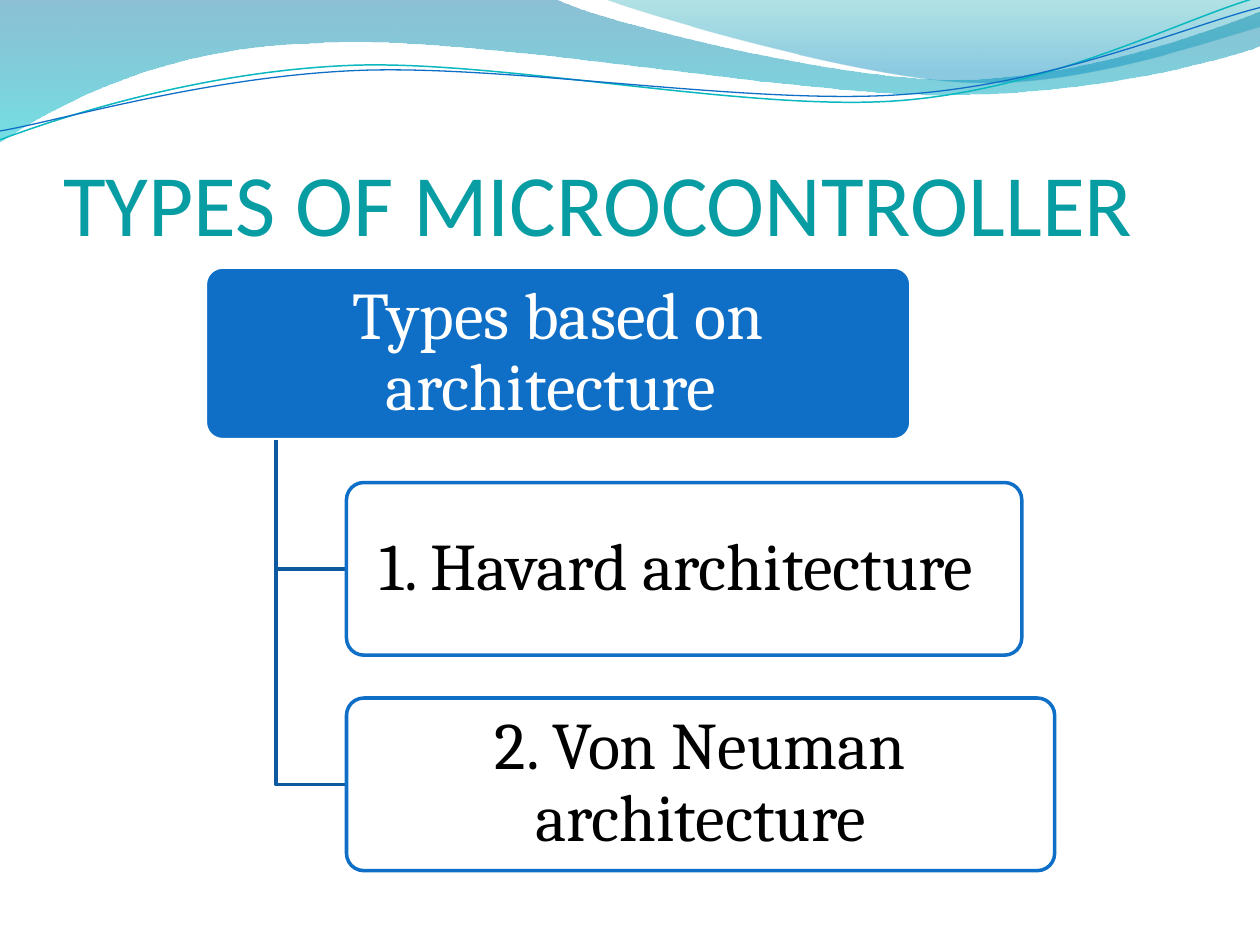
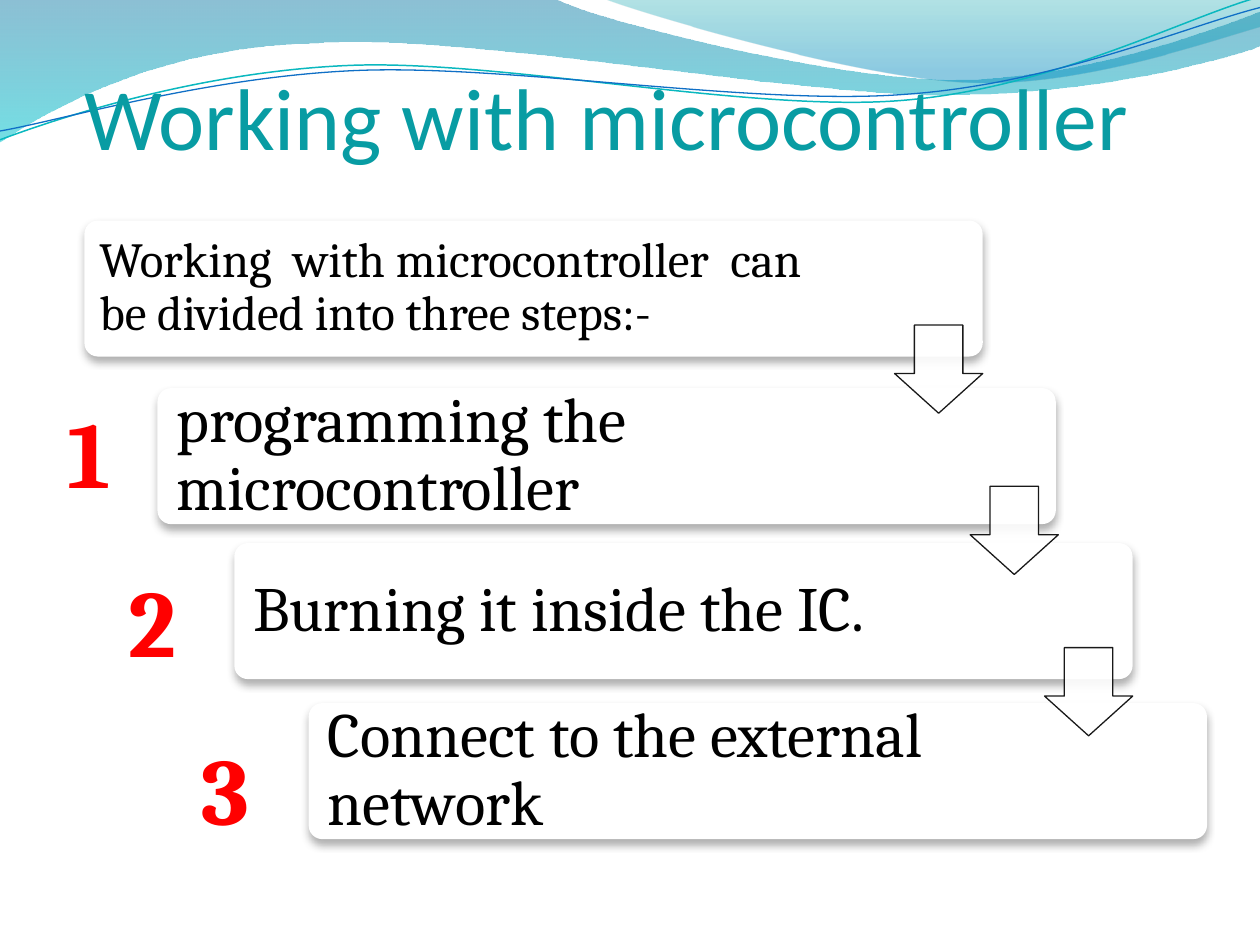
from dataclasses import dataclass

from lxml import etree
from pptx import Presentation
from pptx import util as u
from pptx.dml.color import RGBColor
from pptx.enum import shapes, text
from pptx.oxml.ns import qn

# Grid: ten columns across, seven and a half rows down
COLS, ROWS = 10, 7.5
WIDE, HIGH = u.Inches(10), u.Inches(7.5)

HUES = {
    "title": "089CA3", "blue": "0F6FC6", "navy": "0C599F", "teal": "0AB8BF",
    "white": "FFFFFF", "black": "000000", "red": "FF0000", "rim": "00637F",
    "shade": "5A5A5A", "deep": "0074A1", "aqua": "00C6CF", "sea": "00A1A9",
    "sky": "008BBF",
}
HEAD, BODY = "Calibri", "Cambria"


@dataclass
class Box:
    left: float
    top: float
    wide: float
    high: float


@dataclass
class Stop:
    spot: float
    hue: str
    alpha: int


@dataclass
class Wave:
    """A start point and cubic curves of three points; a pair is a straight step."""
    start: tuple
    steps: list
    stops: tuple = ()
    line: str = ""
    weight: float = 0


@dataclass
class Node:
    box: Box
    label: str
    fill: str
    line: str
    ink: str


@dataclass
class Step:
    box: Box
    label: str
    size: int
    inset: float
    span: float  # width kept for the text


WAVES = [
    Wave((0, 0), [
        (4.4, -0.01),
        (4.76, 0.17, 6.64, 0.63, 7.58, 0.63), (8.53, 0.63, 9.58, 0.26, 10, 0.09),
        (10.01, 0.36),
        (9.83, 0.44, 8.7, 0.76, 7.46, 0.75), (6.22, 0.75, 3.82, 0.28, 2.57, 0.34),
        (1.29, 0.36, 0.46, 0.83, -0.01, 1.13),
    ], stops=(Stop(0, "deep", 45), Stop(1, "aqua", 55))),
    Wave((4.79, -0.01), [
        (5.09, 0.11, 6.82, 0.62, 7.69, 0.65), (8.56, 0.69, 9.61, 0.32, 10, 0.21),
        (10, 0),
    ], stops=(Stop(0, "sea", 30), Stop(0.8, "sky", 45))),
    Wave((0, 1.11), [
        (0.48, 0.93, 1.58, 0.57, 2.77, 0.52), (3.95, 0.47, 5.93, 0.89, 7.13, 0.8),
        (8.33, 0.71, 9.38, 0.15, 9.98, -0.02),
    ], line="teal", weight=0.85),
    Wave((0, 1.04), [
        (0.47, 0.96, 1.64, 0.61, 2.83, 0.56), (4.03, 0.51, 5.97, 0.84, 7.17, 0.75),
        (8.36, 0.67, 9.41, 0.21, 10, 0.06),
    ], line="blue", weight=0.75),
]


def col(n: float) -> int:
    return round(WIDE * n / COLS)


def row(n: float) -> int:
    return round(HIGH * n / ROWS)


def frame(box: Box) -> tuple:
    return col(box.left), row(box.top), col(box.wide), row(box.high)


def rgb(name: str) -> RGBColor:
    return RGBColor.from_string(HUES[name])


def add(parent, tag: str, **attrs):
    return etree.SubElement(parent, qn(tag), {k: str(v) for k, v in attrs.items()})


def fade(shape, *alphas: int) -> None:
    """Set the opacity of the fill and line colours, in their order."""
    tones = shape.element.spPr.iter(qn("a:srgbClr"))
    for tone, alpha in zip(list(tones), alphas):
        add(tone, "a:alpha", val=alpha * 1000)


def paint(shape, fill: str = "", line: str = "", weight: float = 0) -> None:
    shape.shadow.inherit = False
    if fill:
        shape.fill.solid()
        shape.fill.fore_color.rgb = rgb(fill)
    else:
        shape.fill.background()
    if line:
        shape.line.color.rgb = rgb(line)
        shape.line.width = u.Pt(weight)
    else:
        shape.line.fill.background()


def write(shape, label: str, size: int, ink: str, font: str = BODY,
          align=text.PP_ALIGN.LEFT, space: float = 1.0, bold: bool = False) -> None:
    para = shape.text_frame.paragraphs[0]
    para.text = label
    para.alignment, para.line_spacing = align, space
    for run in para.runs:
        run.font.name, run.font.size = font, u.Pt(size)
        run.font.bold, run.font.color.rgb = bold, rgb(ink)


def pad(shape, left: float, top: float, right: float, low: float) -> None:
    tf = shape.text_frame
    tf.margin_left, tf.margin_right = col(left), col(right)
    tf.margin_top, tf.margin_bottom = row(top), row(low)


def trace(slide, points: list, close: bool):
    spots = [(col(x), row(y)) for x, y in points]
    pen = slide.shapes.build_freeform(*spots[0])
    pen.add_line_segments(spots[1:], close=close)
    return pen.convert_to_shape()


def trace_wave(slide, wave: Wave):
    """Draw the outline through all points, then join each curve's three."""
    points = [wave.start]
    for step in wave.steps:
        points += zip(step[::2], step[1::2])
    shape = trace(slide, points, bool(wave.stops))
    sides = iter(list(shape.element.iter(qn("a:lnTo"))))
    for step in wave.steps:
        side = next(sides)
        if len(step) == 6:
            side.tag = qn("a:cubicBezTo")
            for _ in range(2):
                extra = next(sides)
                side.append(extra[0])
                extra.getparent().remove(extra)
    return shape


def draw_wave(slide, wave: Wave):
    shape = trace_wave(slide, wave)
    paint(shape, line=wave.line, weight=wave.weight)
    if wave.stops:
        shape.fill.gradient()
        shape.fill.gradient_angle = 270
        for mark, stop in zip(shape.fill.gradient_stops, wave.stops):
            mark.position, mark.color.rgb = stop.spot, rgb(stop.hue)
        fade(shape, *(stop.alpha for stop in wave.stops))
    return shape


def set_title(slide, label: str, box: Box) -> None:
    title = slide.shapes.title
    title.left, title.top, title.width, title.height = frame(box)
    write(title, label, 50, "title", HEAD)
    pad(title, 0, 0.05, 0, 0)
    title.text_frame.auto_size = text.MSO_AUTO_SIZE.NONE
    title.text_frame.vertical_anchor = text.MSO_ANCHOR.BOTTOM


def round_box(slide, box: Box, inset: float, span: float):
    shape = slide.shapes.add_shape(shapes.MSO_SHAPE.ROUNDED_RECTANGLE, *frame(box))
    shape.adjustments[0] = 0.1
    # The round corners already push the text in a little
    side = inset - 0.03 * box.high
    pad(shape, side, 0, side + box.wide - span, 0)
    shape.text_frame.word_wrap = True
    shape.text_frame.vertical_anchor = text.MSO_ANCHOR.MIDDLE
    return shape


def draw_node(slide, node: Node) -> None:
    shape = round_box(slide, node.box, 0.08, node.box.wide)
    paint(shape, node.fill, node.line, 2)
    if node.fill == "white":
        fade(shape, 90)
    write(shape, node.label, 38, node.ink, align=text.PP_ALIGN.CENTER, space=0.9)


def draw_step(slide, step: Step) -> None:
    shape = round_box(slide, step.box, step.inset, step.span)
    paint(shape, "white")
    glow = add(shape.element.spPr.find(qn("a:effectLst")), "a:outerShdw",
               blurRad=u.Pt(4.5), dist=u.Pt(3), dir=90 * 60000, rotWithShape=0)
    tone = add(glow, "a:srgbClr", val=HUES["shade"])
    add(tone, "a:alpha", val=48000)
    write(shape, step.label, step.size, "black", space=0.9)


def draw_arrow(slide, box: Box) -> None:
    shape = slide.shapes.add_shape(shapes.MSO_SHAPE.DOWN_ARROW, *frame(box))
    shape.adjustments[0], shape.adjustments[1] = 0.55, 0.45
    paint(shape, "white", "black", 0.75)
    fade(shape, 90, 90)


def draw_digit(slide, label: str, box: Box) -> None:
    shape = slide.shapes.add_textbox(*frame(box))
    shape.text_frame.word_wrap = False
    shape.text_frame.auto_size = text.MSO_AUTO_SIZE.SHAPE_TO_FIT_TEXT
    write(shape, label, 54, "red", align=text.PP_ALIGN.CENTER, bold=True)
    props = shape.text_frame.paragraphs[0].runs[0].font._element
    rim = add(props, "a:ln", w=u.Pt(1))
    add(add(rim, "a:solidFill"), "a:srgbClr", val=HUES["rim"])
    props.insert(0, rim)


def types_slide(slide) -> None:
    set_title(slide, "TYPES OF MICROCONTROLLER", Box(0.5, 0.77, 9, 1.25))
    top, gap, high = 2.12, 1.71, 1.37
    root = Node(Box(1.63, top, 5.6, high), "Types based on architecture ",
                "blue", "white", "white")
    draw_node(slide, root)

    # Branches from the root's trunk to each kind
    trunk, base = 2.19, top + high
    kinds = [("1. Havard architecture ", 5.36), ("2. Von Neuman architecture", 5.62)]
    for i, (label, wide) in enumerate(kinds, 1):
        box = Box(2.75, top + i * gap, wide, high)
        mid = box.top + high / 2
        branch = trace(slide, [(trunk, base), (trunk, mid), (box.left, mid)], False)
        paint(branch, line="navy", weight=2)
        draw_node(slide, Node(box, label, "white", "blue", "black"))


def steps_slide(slide) -> None:
    set_title(slide, "Working with microcontroller", Box(0.67, 0.25, 8.92, 1.08))
    wide, high = 7.13, 1.08
    steps = [
        Step(Box(0.67, 1.75, wide, high),
             "Working  with microcontroller  can be divided into three steps:-",
             28, 0.12, 5.94),
        Step(Box(1.25, 3.08, wide, high), "programming the microcontroller",
             36, 0.15, 5.83),
        Step(Box(1.86, 4.31, wide, high), "Burning it inside the IC.",
             36, 0.15, 5.84),
        Step(Box(2.45, 5.58, wide, high), "Connect to the external network",
             36, 0.15, 5.83),
    ]
    for step in steps:
        draw_step(slide, step)

    # Arrows down the stairs
    for i, left in enumerate((7.1, 7.7, 8.29)):
        draw_arrow(slide, Box(left, 2.58 + 1.28 * i, 0.7, 0.7))

    # Step numbers
    for i, (left, top) in enumerate([(0.42, 3.08), (0.92, 4.42), (1.5, 5.75)], 1):
        draw_digit(slide, str(i), Box(left, top, 0.58, 1.01))


def main() -> None:
    deck = Presentation()
    deck.slide_width, deck.slide_height = WIDE, HIGH
    plain = deck.slide_layouts.get_by_name("Title Only")
    first, second = (deck.slides.add_slide(plain) for _ in range(2))

    # The waves sit on the layout, so both slides share them
    for wave in WAVES:
        plain.shapes.element.append(draw_wave(first, wave).element)

    types_slide(first)
    steps_slide(second)
    deck.save("out.pptx")


if __name__ == "__main__":
    main()
